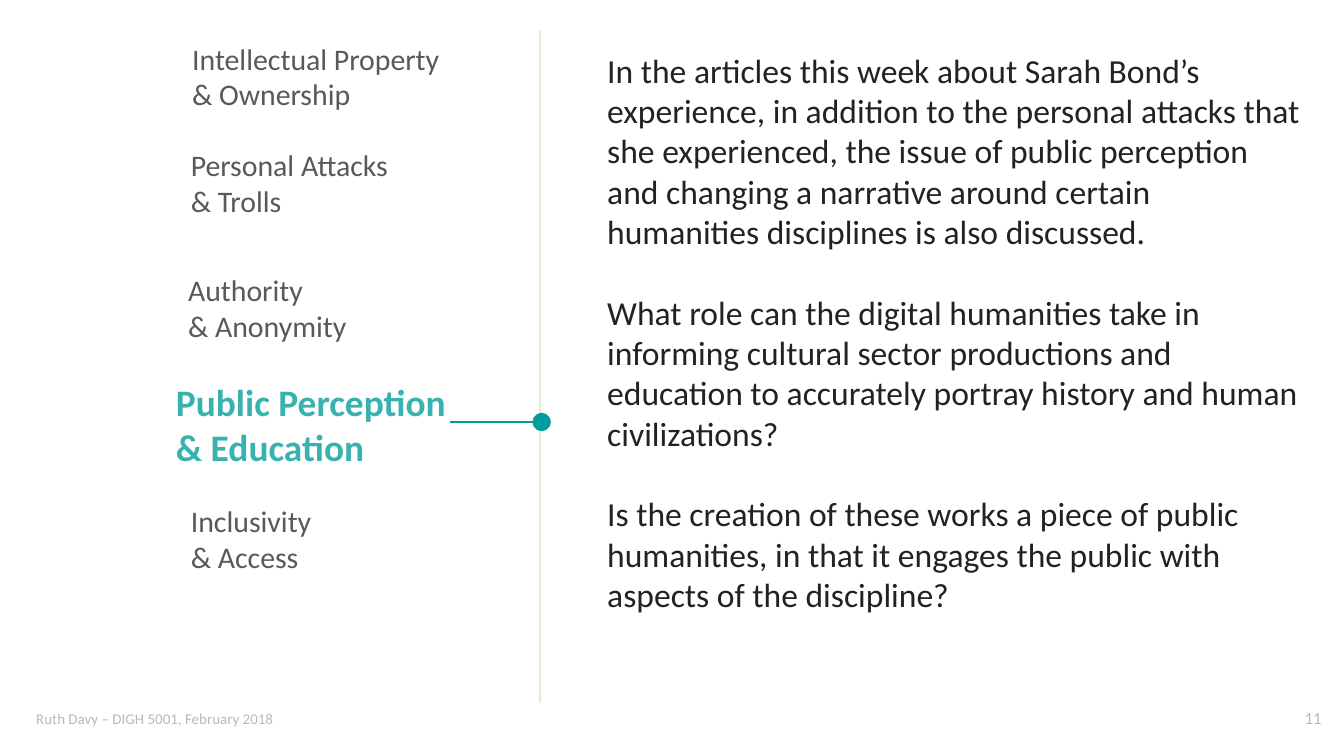
from lxml.etree import SubElement
from pptx import Presentation
from pptx.dml.color import RGBColor
from pptx.enum.shapes import MSO_CONNECTOR as CONNECTOR
from pptx.enum.text import MSO_ANCHOR as ANCHOR, MSO_AUTO_SIZE as AUTO_SIZE, PP_ALIGN as ALIGN
from pptx.oxml.ns import qn
from pptx.util import Inches, Pt

FONT = "Calibri"
GRAY, TEAL, PALE, INK = "58595B", "37B2AF", "B7B9BA", "222223"

TOPICS = [
    (("Intellectual Property", "& Ownership"), (1.43, 0.3, 1.92, 0.54)),
    (("Personal Attacks", "& Trolls"), (1.42, 1.09, 1.54, 0.54)),
    (("Authority", "& Anonymity"), (1.4, 2.02, 1.24, 0.54)),
    (("Public Perception", "& Education"), (1.31, 2.82, 2.03, 0.67)),
    (("Inclusivity", "& Access"), (1.42, 3.74, 0.91, 0.54)),
]
CURRENT_TOPIC = 3
DISCUSSION = [
    "In the articles this week about Sarah Bond’s experience, in addition to the personal attacks that "
    "she experienced, the issue of public perception and changing a narrative around certain humanities "
    "disciplines is also discussed.",
    "What role can the digital humanities take in informing cultural sector productions and education to "
    "accurately portray history and human civilizations?",
    "Is the creation of these works a piece of public humanities, in that it engages the public with "
    "aspects of the discipline?",
]
FOOTER = "Ruth Davy – DIGH 5001, February 2018"
PAGE_NUMBER = "11"


def color(value):
    return RGBColor.from_string(value)


def add_text(slide, lines, box, size, text_color, bold=False, wrap=False, gap=0):
    shape = slide.shapes.add_textbox(*map(Inches, box))
    frame = shape.text_frame
    frame.text = "\n".join(lines)
    frame.word_wrap = wrap
    if not wrap:
        frame.margin_left = frame.margin_top = frame.margin_right = frame.margin_bottom = 0
    for index, paragraph in enumerate(frame.paragraphs):
        if index and gap:
            paragraph.space_before = Pt(gap)
        for run in paragraph.runs:
            run.font.name = FONT
            run.font.size = Pt(size)
            run.font.bold = bold
            run.font.color.rgb = color(text_color)
    return frame


def add_small_print(slide, text, box, size, align):
    frame = add_text(slide, [text], box, size, PALE)
    frame.vertical_anchor = ANCHOR.BOTTOM
    frame.paragraphs[0].alignment = align
    frame.paragraphs[0].line_spacing = 0.85


def add_line(slide, points, line_color, dot=False):
    line = slide.shapes.add_connector(CONNECTOR.STRAIGHT, *map(Inches, points))
    line.line.color.rgb = color(line_color)
    line.line.width = Pt(1)
    properties = line._element.spPr
    if dot:
        SubElement(properties.find(qn("a:ln")), qn("a:tailEnd"), type="oval", w="lg", len="lg")
    SubElement(properties, qn("a:effectLst"))


def main():
    presentation = Presentation()
    presentation.slide_width = Inches(10)
    presentation.slide_height = presentation.slide_width * 9 // 16
    slide = presentation.slides.add_slide(presentation.slide_layouts[6])

    add_small_print(slide, FOOTER, (0.27, 5.23, 1.8, 0.18), 8, ALIGN.LEFT)
    add_small_print(slide, PAGE_NUMBER, (9.63, 5.29, 0.28, 0.13), 9, ALIGN.CENTER)

    for index, (lines, box) in enumerate(TOPICS):
        current = index == CURRENT_TOPIC
        frame = add_text(slide, lines, box, 20 if current else 16, TEAL if current else GRAY, bold=current)
        frame.auto_size = AUTO_SIZE.SHAPE_TO_FIT_TEXT

    add_line(slide, (4.02, 5.23, 4.02, 0.22), "EAE8D7")
    add_line(slide, (3.35, 3.14, 4.03, 3.14), "009D9C", dot=True)

    frame = add_text(slide, DISCUSSION, (4.42, 0.32, 5.4, 4.34), 18, INK, wrap=True, gap=21.6)
    frame.auto_size = AUTO_SIZE.SHAPE_TO_FIT_TEXT

    presentation.save("out.pptx")


if __name__ == "__main__":
    main()
